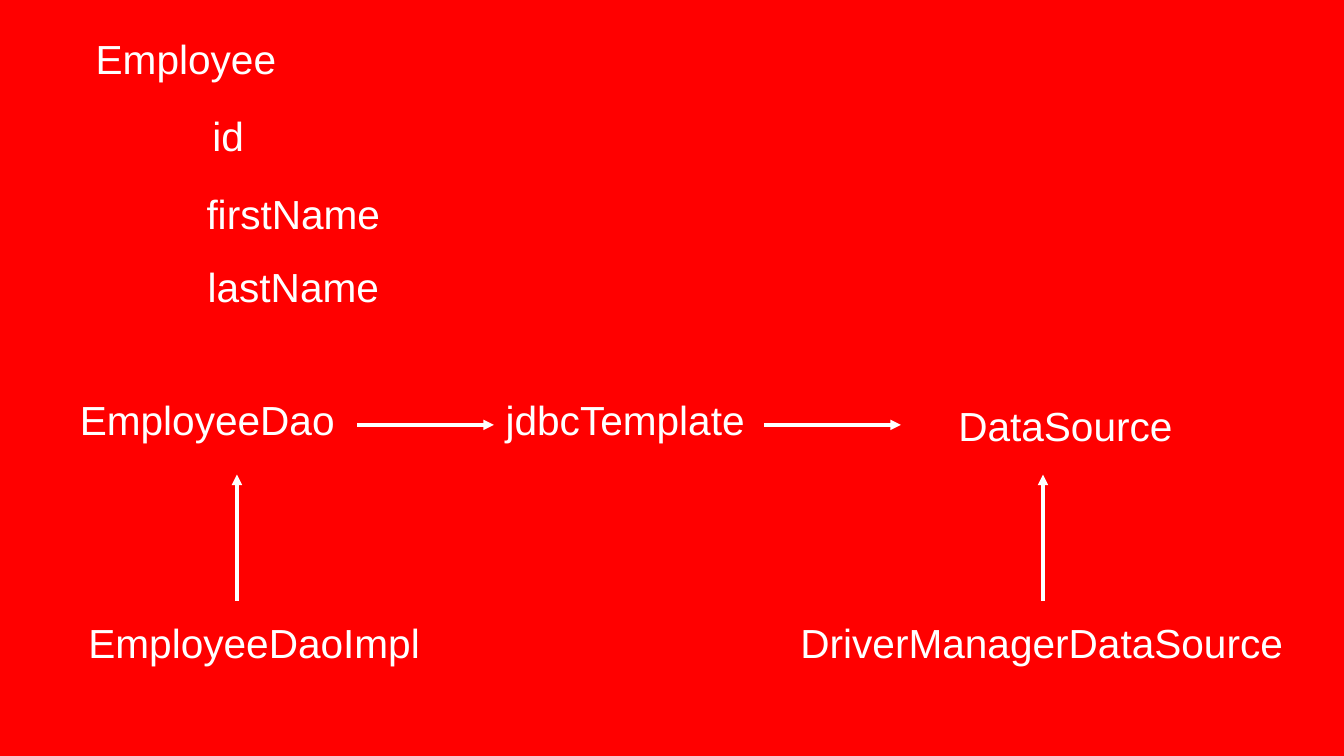
from lxml import etree
from pptx import Presentation
from pptx.dml.color import RGBColor
from pptx.enum.shapes import MSO_CONNECTOR
from pptx.enum.text import MSO_ANCHOR, MSO_AUTO_SIZE, PP_ALIGN
from pptx.oxml.ns import qn
from pptx.util import Pt

STRAIGHT = MSO_CONNECTOR.STRAIGHT
MIDDLE = MSO_ANCHOR.MIDDLE
FIT_SHAPE = MSO_AUTO_SIZE.SHAPE_TO_FIT_TEXT
CENTER = PP_ALIGN.CENTER

RED = "FF0000"
WHITE = "FFFFFF"
LABEL_HEIGHT = 78
INSET = 4


def color(hex_string):
    return RGBColor.from_string(hex_string)


deck = Presentation()
deck.slide_width = Pt(1920)
deck.slide_height = Pt(1080)
slide = deck.slides.add_slide(deck.slide_layouts[6])
slide.background.fill.solid()
slide.background.fill.fore_color.rgb = color(RED)

# Labels: text, left, top, width
labels = [
    ("Employee", 132, 44, 267),
    ("id", 297, 154, 58),
    ("firstName", 290, 265, 258),
    ("lastName", 291, 370, 256),
    ("EmployeeDao", 108, 559.5, 376),
    ("jdbcTemplate", 715, 559.5, 356),
    ("DataSource", 1361, 568, 322),
    ("EmployeeDaoImpl", 120, 879, 486),
    ("DriverManagerDataSource", 1137, 879, 702),
]
for text, left, top, width in labels:
    box = slide.shapes.add_textbox(Pt(left), Pt(top), Pt(width), Pt(LABEL_HEIGHT))
    frame = box.text_frame
    frame.word_wrap = False
    frame.auto_size = FIT_SHAPE
    frame.vertical_anchor = MIDDLE
    frame.margin_left = frame.margin_right = Pt(INSET)
    frame.margin_top = frame.margin_bottom = Pt(INSET)
    para = frame.paragraphs[0]
    para.text = text
    para.alignment = CENTER
    para.font.name = "Arial"
    para.font.size = Pt(58)
    para.font.color.rgb = color(WHITE)

# Arrows: uses run to the right, implementations point up to their interface
USES_Y, USES_LENGTH = 607, 195
IMPLEMENTS_START, IMPLEMENTS_END = 858, 678
arrows = [(x, USES_Y, x + USES_LENGTH, USES_Y) for x in (510.5, 1092)]
arrows += [(x, IMPLEMENTS_START, x, IMPLEMENTS_END) for x in (338.5, 1490)]
for ends in arrows:
    arrow = slide.shapes.add_connector(STRAIGHT, *map(Pt, ends))
    arrow.line.width = Pt(5)
    arrow.line.color.rgb = color(WHITE)
    properties = arrow.line._get_or_add_ln()
    etree.SubElement(properties, qn("a:tailEnd"), type="triangle")
    etree.SubElement(properties.getparent(), qn("a:effectLst"))

deck.save("out.pptx")
